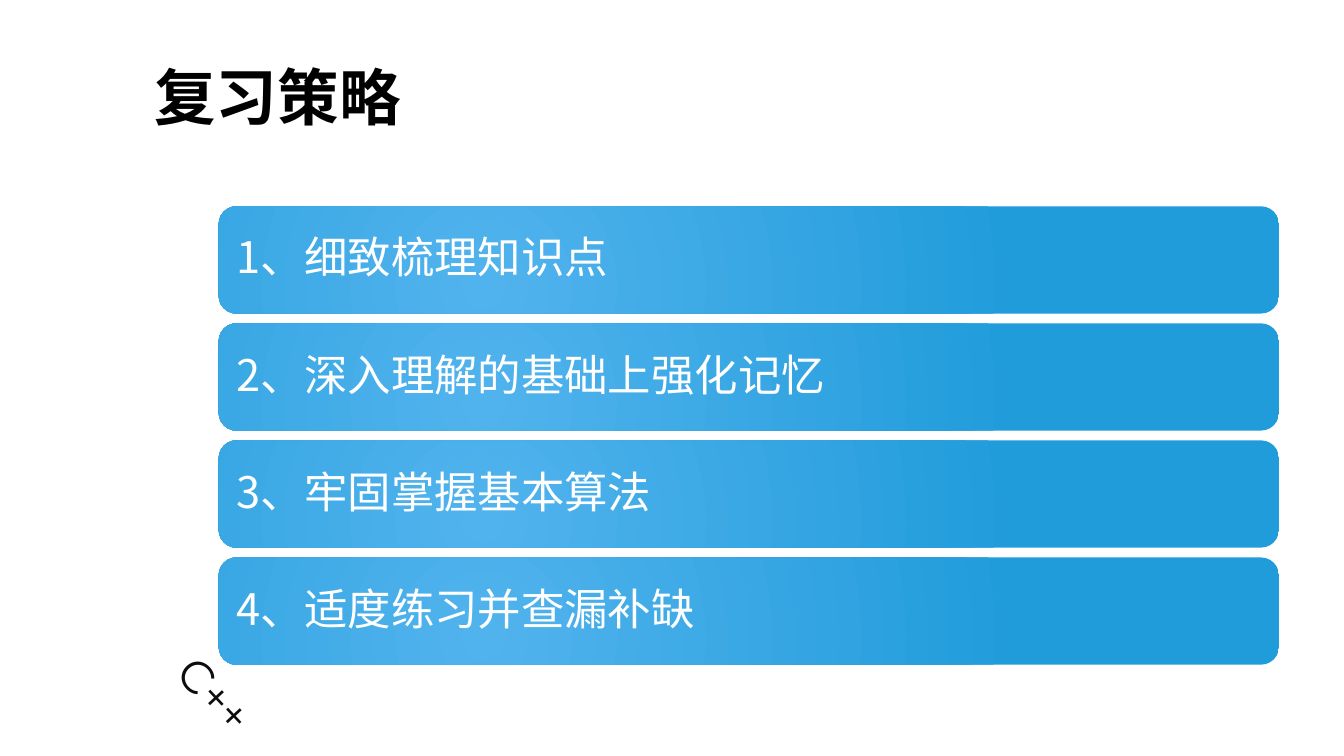
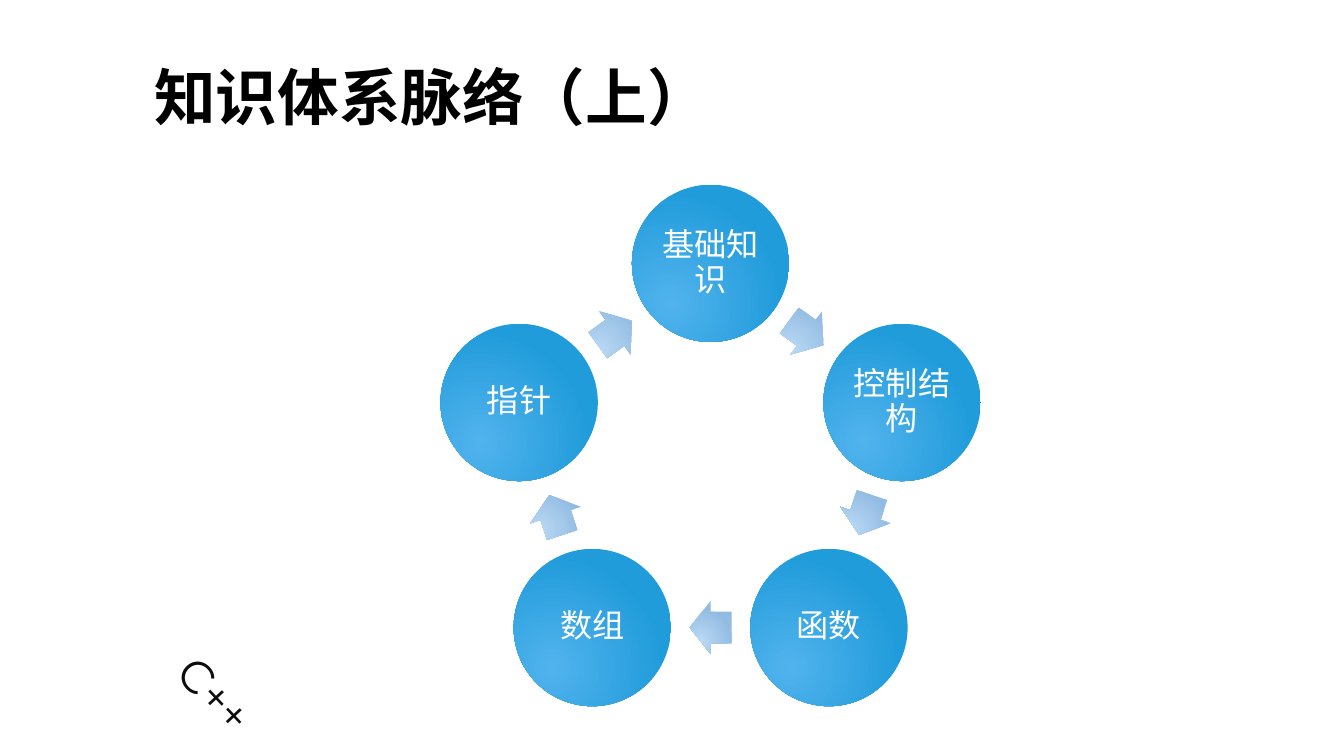
import math

from lxml import etree
from pptx import Presentation
from pptx.dml.color import RGBColor
from pptx.enum import shapes, text
from pptx.oxml.ns import qn
from pptx.util import Pt

STRATEGY_TITLE = "复习策略"
STRATEGIES = [
    "1、细致梳理知识点",
    "2、深入理解的基础上强化记忆",
    "3、牢固掌握基本算法",
    "4、适度练习并查漏补缺",
]
TOPICS_TITLE = "知识体系脉络（上）"
TOPICS = ["基础知识", "控制结构", "函数", "数组", "指针"]
MARK = "C++"

BLACK, INK, WHITE = "000000", "0D0D0D", "FFFFFF"
BLUE = ("51B3ED", "219CDB")
PALE_BLUE = ("B9D9F5", "92BBE2")
CJK = "Noto Sans CJK SC"

BAR_LEFT, BAR_TOP, BAR_WIDTH, BAR_HEIGHT, BAR_PITCH = 156.2, 147.4, 757.4, 76.6, 83.6
RING_X, RING_Y, RING_RADIUS = 507.6, 331.9, 143.8
CIRCLE = 112.4
ARROW_WIDTH, ARROW_HEIGHT = 30, 38


def rgb(value):
    return RGBColor.from_string(value)


def style(paragraph, size, color, latin=CJK, bold=False, align=text.PP_ALIGN.LEFT):
    font = paragraph.font
    font.size, font.bold, font.name = Pt(size), bold, latin
    font.color.rgb = rgb(color)
    paragraph.alignment = align
    defaults = paragraph._p.pPr.find(qn("a:defRPr"))
    etree.SubElement(defaults, qn("a:ea"), typeface=CJK)


def add_glowing(slide, kind, left, top, width, height, colors):
    """Add a borderless shape with a radial gradient centred at its lower left."""
    shape = slide.shapes.add_shape(kind, Pt(left), Pt(top), Pt(width), Pt(height))
    shape.shadow.inherit = False
    shape.line.fill.background()
    shape.fill.gradient()
    for stop, color in zip(shape.fill.gradient_stops, colors):
        stop.color.rgb = rgb(color)
    gradient = shape._element.spPr.find(qn("a:gradFill"))
    gradient.set("rotWithShape", "0")
    gradient.remove(gradient.find(qn("a:lin")))
    glow = etree.SubElement(gradient, qn("a:path"), attrib={"path": "circle"})
    etree.SubElement(glow, qn("a:fillToRect"), l="50000", t="100000", r="100000", b="50000")
    return shape


def write(shape, words, size, margin, align):
    frame = shape.text_frame
    frame.word_wrap = True
    frame.vertical_anchor = text.MSO_ANCHOR.MIDDLE
    frame.margin_left = frame.margin_right = Pt(margin)
    frame.margin_top = frame.margin_bottom = Pt(margin)
    label = frame.paragraphs[0]
    label.text = words
    label.line_spacing = 0.9
    style(label, size, WHITE, align=align)


def add_titled_slide(deck, words):
    slide = deck.slides.add_slide(deck.slide_layouts[5])
    title = slide.shapes.title
    title.left, title.top, title.width, title.height = Pt(103), Pt(21), Pt(808.6), Pt(95)
    title.text_frame.text = words
    title.text_frame.vertical_anchor = text.MSO_ANCHOR.MIDDLE
    style(title.text_frame.paragraphs[0], 44, BLACK, "Arial", bold=True)

    mark = slide.shapes.add_textbox(Pt(110.2), Pt(488.2), Pt(116), Pt(46))
    mark.rotation = 46.9
    mark.text_frame.word_wrap = True
    mark.text_frame.text = MARK
    style(mark.text_frame.paragraphs[0], 32, INK, "Montserrat")
    return slide


def add_strategies(slide):
    for i, strategy in enumerate(STRATEGIES):
        bar = add_glowing(slide, shapes.MSO_SHAPE.ROUNDED_RECTANGLE, BAR_LEFT,
                          BAR_TOP + i * BAR_PITCH, BAR_WIDTH, BAR_HEIGHT, BLUE)
        write(bar, strategy, 31, 9.3, text.PP_ALIGN.LEFT)


def ring_corner(angle, radius, width, height):
    """Top left of a box centred on the ring, at degrees clockwise from the top."""
    turn = math.radians(angle)
    return (RING_X + radius * math.sin(turn) - width / 2,
            RING_Y - radius * math.cos(turn) - height / 2)


def add_topic_cycle(slide):
    step = 360 / len(TOPICS)
    arrow_radius = RING_RADIUS * math.cos(math.radians(step / 2))
    for i, topic in enumerate(TOPICS):
        left, top = ring_corner(i * step, RING_RADIUS, CIRCLE, CIRCLE)
        circle = add_glowing(slide, shapes.MSO_SHAPE.OVAL, left, top, CIRCLE, CIRCLE, BLUE)
        write(circle, topic, 23, 2.3, text.PP_ALIGN.CENTER)

        angle = (i + 0.5) * step
        left, top = ring_corner(angle, arrow_radius, ARROW_WIDTH, ARROW_HEIGHT)
        arrow = add_glowing(slide, shapes.MSO_SHAPE.RIGHT_ARROW, left, top,
                            ARROW_WIDTH, ARROW_HEIGHT, PALE_BLUE)
        arrow.adjustments[0], arrow.adjustments[1] = 0.6, 0.5
        arrow.rotation = angle


def main():
    deck = Presentation()
    deck.slide_width, deck.slide_height = Pt(960), Pt(540)
    add_strategies(add_titled_slide(deck, STRATEGY_TITLE))
    add_topic_cycle(add_titled_slide(deck, TOPICS_TITLE))
    deck.save("out.pptx")


if __name__ == "__main__":
    main()
